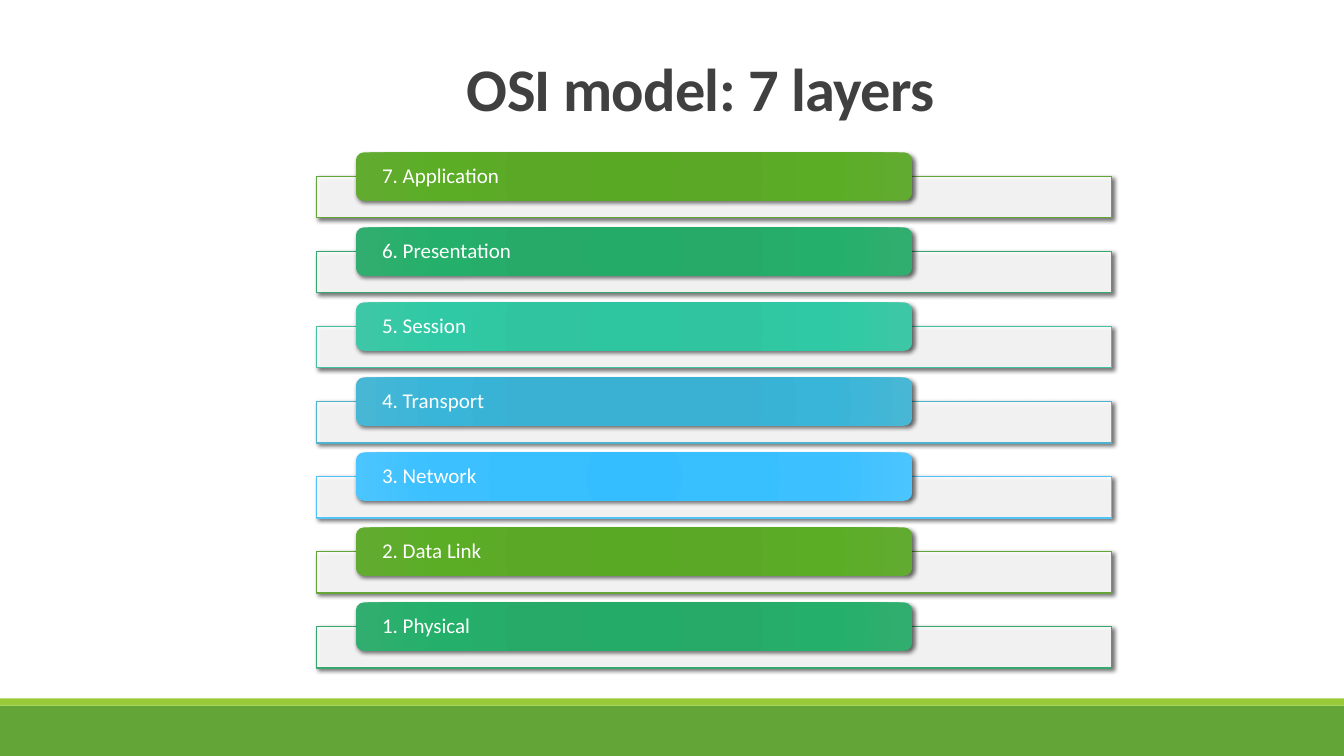
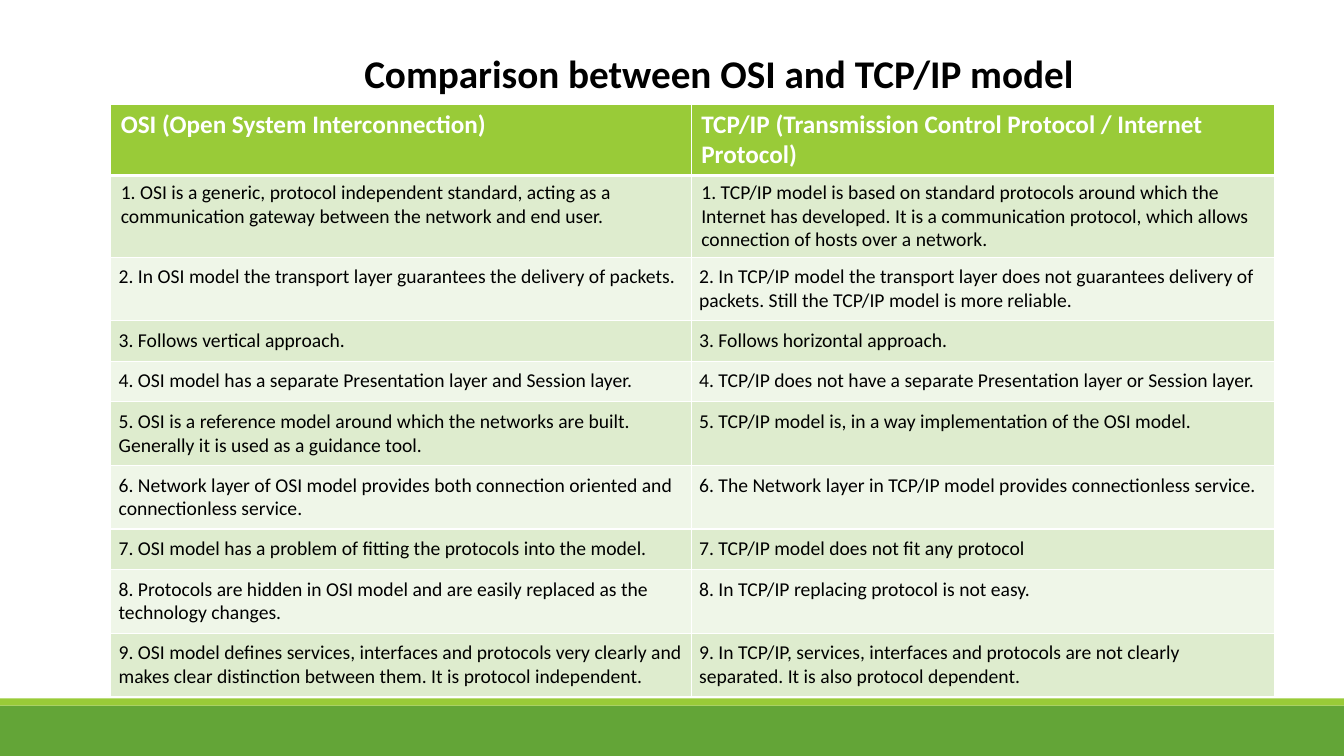
from dataclasses import dataclass
from itertools import cycle

from pptx import Presentation
from pptx.dml.color import RGBColor
from pptx.enum.shapes import MSO_SHAPE as Preset
from pptx.enum.text import MSO_ANCHOR as Anchor, MSO_AUTO_SIZE as AutoSize, PP_ALIGN as Align
from pptx.oxml import parse_xml
from pptx.oxml.ns import nsdecls, qn
from pptx.util import Cm, Pt

FONT = "Calibri"
WHITE, BLACK, CHARCOAL = "FFFFFF", "000000", "404040"
GREEN, LIME = "63A537", "99CB38"
ROW_TINTS = ("DEECCE", "EFF6E8")
WIDTH, HEIGHT = 33.87, 19.05


@dataclass(frozen=True)
class Box:
    """Position and size in centimetres."""
    left: float
    top: float
    width: float
    height: float

    def lengths(self) -> tuple:
        return Cm(self.left), Cm(self.top), Cm(self.width), Cm(self.height)


@dataclass(frozen=True)
class Palette:
    outline: str
    gradient: tuple


@dataclass(frozen=True)
class Heading:
    text: str
    box: Box
    size: float
    color: str
    anchor: Anchor
    line_spacing: float = 1.0
    tracking: int = 0


BANDS = ((Box(0, 17.78, WIDTH, 1.27), GREEN), (Box(0, 17.6, WIDTH, 0.18), LIME))

LAYERS_HEADING = Heading("OSI model: 7 layers", Box(3.05, 1.35, 29.21, 1.9), 43.2,
                         CHARCOAL, Anchor.BOTTOM, 0.85, -50)
COMPARISON_HEADING = Heading("Comparison between OSI and TCP/IP model",
                             Box(6.1, 1.04, 24.03, 1.58), 28, BLACK, Anchor.MIDDLE)

LAYERS = ("7. Application", "6. Presentation", "5. Session", "4. Transport",
          "3. Network", "2. Data Link", "1. Physical")
PALETTES = (
    Palette(GREEN, ("59A924", "5BA827", "5BAD25", "62AB31")),
    Palette("37A76F", ("24AB67", "27AA68", "24B06A", "31AD6F")),
    Palette("44C1A3", ("2EC5A1", "31C4A1", "2FCAA5", "3EC7A6")),
    Palette("4EB3CF", ("37B1D3", "3AB1D2", "38B5D8", "48B7D5")),
    Palette("51C3F9", ("34BEFF", "38BFFE", "3CC0FF", "4BC5FF")),
)
GRADIENT_STOPS = (0, 34, 70, 100)
LAYERS_TOP, LAYER_PITCH, PANEL_DROP = 3.84, 1.89, 0.61

COMPARISON = (
    ("OSI (Open System Interconnection)",
     "TCP/IP (Transmission Control Protocol / Internet Protocol)"),
    ("1. OSI is a generic, protocol independent standard, acting as a communication gateway "
     "between the network and end user.",
     "1. TCP/IP model is based on standard protocols around which the Internet has developed. "
     "It is a communication protocol, which allows connection of hosts over a network."),
    ("2. In OSI model the transport layer guarantees the delivery of packets.",
     "2. In TCP/IP model the transport layer does not guarantees delivery of packets. "
     "Still the TCP/IP model is more reliable."),
    ("3. Follows vertical approach.",
     "3. Follows horizontal approach."),
    ("4. OSI model has a separate Presentation layer and Session layer.",
     "4. TCP/IP does not have a separate Presentation layer or Session layer."),
    ("5. OSI is a reference model around which the networks are built. "
     "Generally it is used as a guidance tool.",
     "5. TCP/IP model is, in a way implementation of the OSI model."),
    ("6. Network layer of OSI model provides both connection oriented and "
     "connectionless service.",
     "6. The Network layer in TCP/IP model provides connectionless service."),
    ("7. OSI model has a problem of fitting the protocols into the model.",
     "7. TCP/IP model does not fit any protocol"),
    ("8. Protocols are hidden in OSI model and are easily replaced as the technology changes.",
     "8. In TCP/IP replacing protocol is not easy."),
    ("9. OSI model defines services, interfaces and protocols very clearly and makes clear "
     "distinction between them. It is protocol independent.",
     "9. In TCP/IP, services, interfaces and protocols are not clearly separated. "
     "It is also protocol dependent."),
)
COLUMN_WIDTHS = (14.63, 14.71)
ROW_HEIGHT = 1.02


def rgb(code: str) -> RGBColor:
    return RGBColor.from_string(code)


def add_run(paragraph, text: str, size: float, color: str, bold: bool = False):
    run = paragraph.add_run()
    run.text = text
    font = run.font
    font.name, font.size, font.bold = FONT, Pt(size), bold
    font.color.rgb = rgb(color)
    return run


def add_block(slide, preset: Preset, box: Box, fill: str):
    block = slide.shapes.add_shape(preset, *box.lengths())
    block.shadow.inherit = False
    block.fill.solid()
    block.fill.fore_color.rgb = rgb(fill)
    block.line.fill.background()
    return block


def add_shadow(block) -> None:
    block.element.spPr.find(qn("a:effectLst")).append(parse_xml(
        f'<a:outerShdw {nsdecls("a")} blurRad="38100" dist="25400" dir="2700000" '
        f'rotWithShape="0"><a:srgbClr val="{BLACK}"><a:alpha val="60000"/></a:srgbClr>'
        '</a:outerShdw>'))


def set_radial_gradient(block, colors: tuple) -> None:
    stops = "".join(f'<a:gs pos="{stop * 1000}"><a:srgbClr val="{color}"/></a:gs>'
                    for stop, color in zip(GRADIENT_STOPS, colors))
    gradient = parse_xml(
        f'<a:gradFill {nsdecls("a")} rotWithShape="1"><a:gsLst>{stops}</a:gsLst>'
        '<a:path path="circle"><a:fillToRect l="100000" t="100000" r="100000" b="100000"/>'
        '</a:path></a:gradFill>')
    properties = block.element.spPr
    properties.replace(properties.find(qn("a:solidFill")), gradient)


def add_bands_to_layout(slide) -> None:
    """Draw the footer bands and move them into the layout that the slides share."""
    layout_tree = slide.slide_layout.shapes.element
    for index, (box, color) in enumerate(BANDS):
        band = add_block(slide, Preset.RECTANGLE, box, color).element
        band.nvSpPr.cNvPr.set("id", str(100 + index))
        layout_tree.insert(2 + index, band)


def set_heading(slide, heading: Heading) -> None:
    title = slide.shapes.title
    title.left, title.top, title.width, title.height = heading.box.lengths()
    frame = title.text_frame
    frame.auto_size = AutoSize.NONE
    frame.vertical_anchor = heading.anchor
    paragraph = frame.paragraphs[0]
    paragraph.alignment = Align.CENTER
    paragraph.line_spacing = heading.line_spacing
    run = add_run(paragraph, heading.text, heading.size, heading.color, bold=True)
    if heading.tracking:
        run.font._element.set("spc", str(heading.tracking))


def add_layer(slide, name: str, top: float, palette: Palette) -> None:
    panel = add_block(slide, Preset.RECTANGLE, Box(7.98, top + PANEL_DROP, 20.04, 1.04), WHITE)
    white = panel.element.spPr.find(qn("a:solidFill"))[0]
    white.append(parse_xml(f'<a:alpha {nsdecls("a")} val="90000"/>'))
    panel.line.color.rgb = rgb(palette.outline)
    panel.line.width = Pt(1)
    add_shadow(panel)

    label = add_block(slide, Preset.ROUNDED_RECTANGLE, Box(8.97, top, 14.02, 1.22), WHITE)
    set_radial_gradient(label, palette.gradient)
    add_shadow(label)
    frame = label.text_frame
    frame.word_wrap = True
    frame.vertical_anchor = Anchor.MIDDLE
    frame.margin_left = frame.margin_right = Cm(0.6)
    frame.margin_top = frame.margin_bottom = Cm(0)
    paragraph = frame.paragraphs[0]
    paragraph.alignment = Align.LEFT
    paragraph.line_spacing = 0.9
    add_run(paragraph, name, 15, WHITE)


def set_borders(cell, top: float, bottom: float) -> None:
    """Give the cell white borders; the widths are in points, 1 at the sides."""
    widths = {"lnL": 1, "lnR": 1, "lnT": top, "lnB": bottom}
    properties = cell._tc.get_or_add_tcPr()
    for index, (side, width) in enumerate(widths.items()):
        properties.insert(index, parse_xml(
            f'<a:{side} {nsdecls("a")} w="{Pt(width)}"><a:solidFill>'
            f'<a:srgbClr val="{WHITE}"/></a:solidFill></a:{side}>'))


def add_comparison(slide) -> None:
    box = Box(2.79, 2.62, sum(COLUMN_WIDTHS), ROW_HEIGHT * len(COMPARISON))
    table = slide.shapes.add_table(len(COMPARISON), len(COLUMN_WIDTHS), *box.lengths()).table
    table.horz_banding = False
    for column, width in zip(table.columns, COLUMN_WIDTHS):
        column.width = Cm(width)
    for row, texts in enumerate(COMPARISON):
        header = row == 0
        table.rows[row].height = Cm(ROW_HEIGHT)
        for column, text in enumerate(texts):
            cell = table.cell(row, column)
            cell.fill.solid()
            cell.fill.fore_color.rgb = rgb(LIME if header else ROW_TINTS[(row - 1) % 2])
            set_borders(cell, top=3 if row == 1 else 1, bottom=3 if header else 1)
            if row > 1:
                cell.margin_left = cell.margin_right = Cm(0.2)
                cell.margin_top = cell.margin_bottom = Cm(0.2)
            add_run(cell.text_frame.paragraphs[0], text, 18 if header else 14,
                    WHITE if header else BLACK, bold=header)


def main() -> None:
    deck = Presentation()
    deck.slide_width, deck.slide_height = Cm(WIDTH), Cm(HEIGHT)
    title_only = deck.slide_layouts[5]

    layers_slide = deck.slides.add_slide(title_only)
    add_bands_to_layout(layers_slide)
    set_heading(layers_slide, LAYERS_HEADING)
    for index, (name, palette) in enumerate(zip(LAYERS, cycle(PALETTES))):
        add_layer(layers_slide, name, LAYERS_TOP + index * LAYER_PITCH, palette)

    comparison_slide = deck.slides.add_slide(title_only)
    set_heading(comparison_slide, COMPARISON_HEADING)
    add_comparison(comparison_slide)

    deck.save("out.pptx")


if __name__ == "__main__":
    main()
